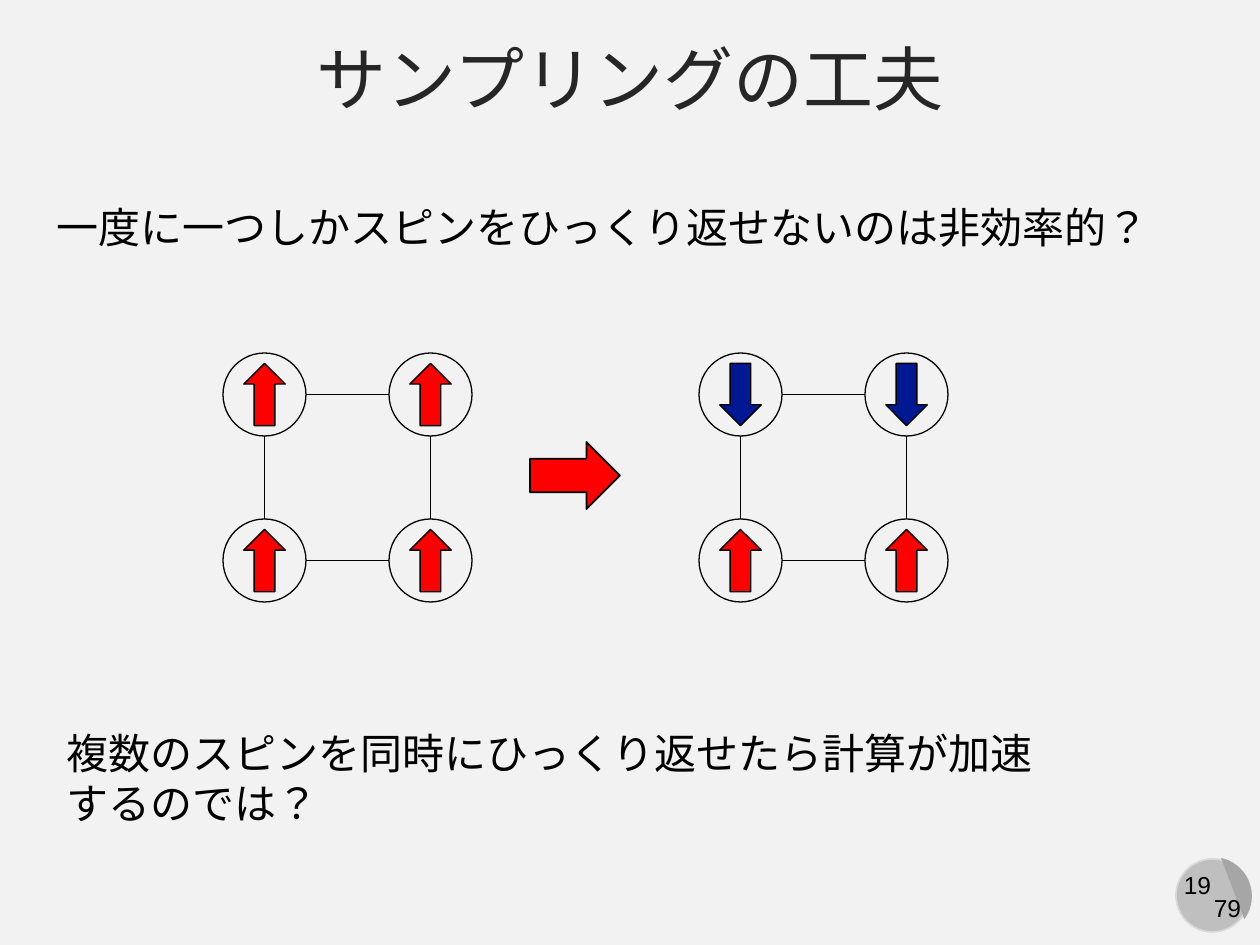
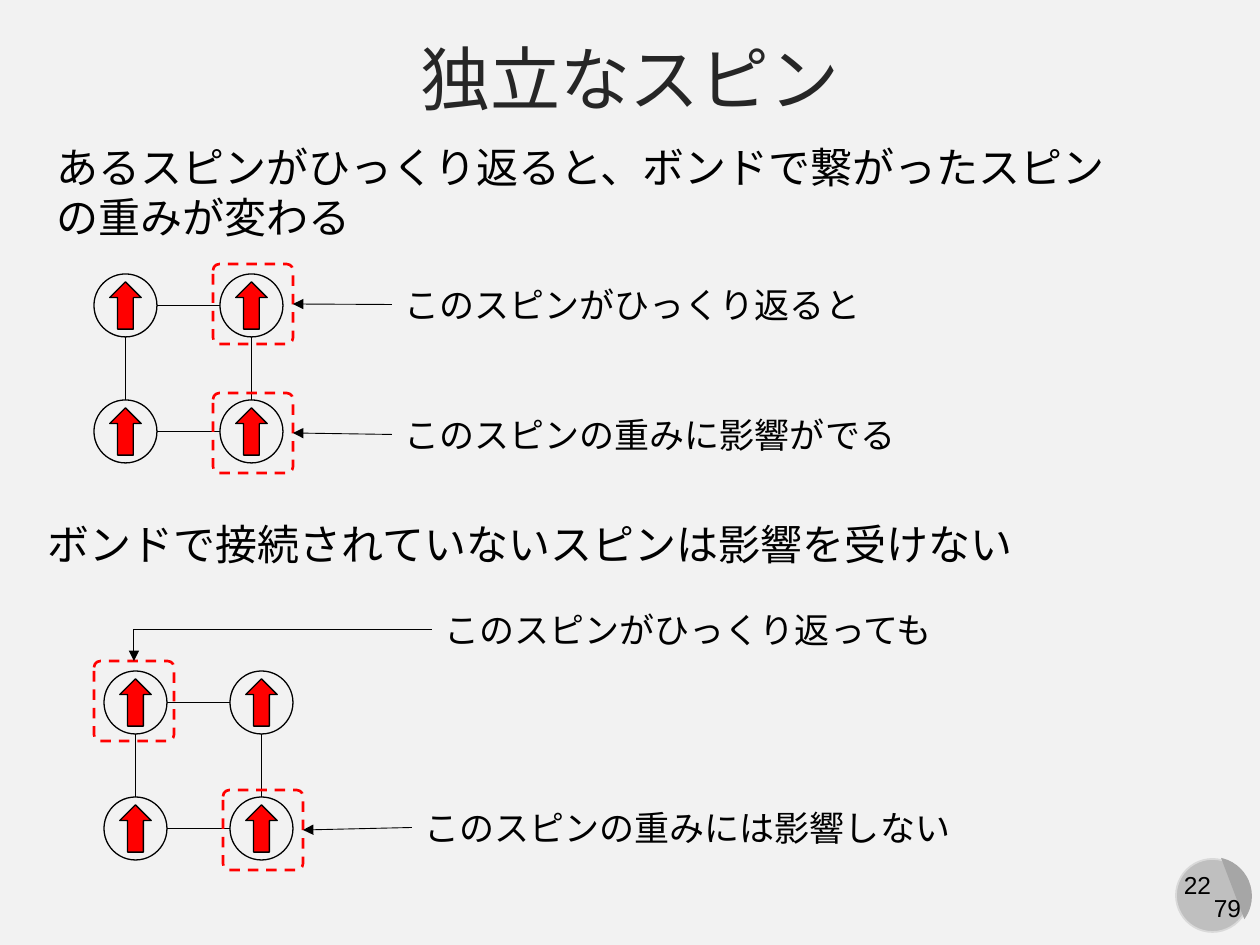
"""Build two slides on flipping several spins at once in a lattice model."""
from lxml.etree import SubElement
from pptx import Presentation
from pptx.dml.color import RGBColor
from pptx.enum.dml import MSO_LINE
from pptx.enum.lang import MSO_LANGUAGE_ID
from pptx.enum.shapes import MSO_CONNECTOR as LINK, MSO_SHAPE as SHAPE
from pptx.enum.text import MSO_ANCHOR, MSO_AUTO_SIZE, PP_ALIGN
from pptx.oxml.ns import qn
from pptx.util import Emu, Pt

FONT = "Arial"
BLACK = RGBColor(0x00, 0x00, 0x00)
TITLE_GRAY = RGBColor(0x26, 0x26, 0x26)
PAPER = RGBColor(0xF2, 0xF2, 0xF2)
BADGE = RGBColor(0xBF, 0xBF, 0xBF)
BADGE_RIM = RGBColor(0xD9, 0xD9, 0xD9)
BADGE_HALF = RGBColor(0xA6, 0xA6, 0xA6)
RED = RGBColor(0xFF, 0x00, 0x00)
NAVY = RGBColor(0x01, 0x18, 0x93)

EMU_PER_PX = 914400 / 126
WIDTH, HEIGHT = 1260, 945
TOTAL_PAGES = "79"
FRAME = 80
LABEL_HEIGHT = 55

SLIDES = [
    {
        "title": "サンプリングの工夫",
        "number": "19",
        "statements": [
            ("一度に一つしかスピンをひっくり返せないのは非効率的？", (44, 195, 1142, 63)),
            ("複数のスピンを同時にひっくり返せたら計算が加速するのでは？", (54, 721, 1022, 115)),
        ],
        "lattices": [(223, 353, 83, ("up", "up")), (699, 353, 83, ("down", "up"))],
        "step": (530, 442, 90, 67),
        "calls": [],
    },
    {
        "title": "独立なスピン",
        "number": "22",
        "statements": [
            ("あるスピンがひっくり返ると、ボンドで繋がったスピンの重みが変わる", (44, 135, 1091, 115)),
            ("ボンドで接続されていないスピンは影響を受けない", (35, 512, 1091, 63)),
        ],
        "lattices": [(94, 274, 63, ("up", "up")), (104, 671, 63, ("up", "up"))],
        "step": None,
        "calls": [
            ("このスピンがひっくり返ると", (392, 277, 485), (213, 264), "side"),
            ("このスピンの重みに影響がでる", (392, 407, 520), (213, 393), "side"),
            ("このスピンがひっくり返っても", (432, 602, 520), (94, 661), "top"),
            ("このスピンの重みには影響しない", (412, 800, 556), (223, 790), "side"),
        ],
    },
]


def px(*lengths):
    return [Emu(round(length * EMU_PER_PX)) for length in lengths]


def write(box, text, size, color=BLACK, align=PP_ALIGN.LEFT, wrap=True):
    frame = box.text_frame
    frame.word_wrap = wrap
    frame.auto_size = MSO_AUTO_SIZE.NONE
    para = frame.paragraphs[0]
    para.alignment = align
    span = para.add_run()
    span.text = text
    span.font.name = FONT
    span.font.size = Pt(size)
    span.font.color.rgb = color
    span.font.language_id = MSO_LANGUAGE_ID.JAPANESE


def add_text(page, text, place, size, **style):
    box = page.shapes.add_textbox(*px(*place))
    write(box, text, size, **style)
    return box


def add_figure(shapes, kind, place, fill=None, line=BLACK, weight=0.75):
    figure = shapes.add_shape(kind, *px(*place))
    figure.shadow.inherit = False
    if fill is None:
        figure.fill.background()
    else:
        figure.fill.solid()
        figure.fill.fore_color.rgb = fill
    if line is None:
        figure.line.fill.background()
    else:
        figure.line.color.rgb = line
        figure.line.width = Pt(weight)
    return figure


def add_link(shapes, kind, ends, weight):
    link = shapes.add_connector(kind, *px(*ends))
    link.line.color.rgb = BLACK
    link.line.width = Pt(weight)
    SubElement(link.element.spPr, qn("a:effectLst"))
    return link


def add_lattice(page, left, top, size, rows):
    """Draw a two by two lattice; spins are one diameter apart."""
    shapes = page.shapes.add_group_shape().shapes
    pitch, half = 2 * size, size / 2
    for row, spin in enumerate(rows):
        for column in range(2):
            x, y = left + column * pitch, top + row * pitch
            add_figure(shapes, SHAPE.OVAL, (x, y, size, size))
            kind, fill = (SHAPE.UP_ARROW, RED) if spin == "up" else (SHAPE.DOWN_ARROW, NAVY)
            add_figure(shapes, kind, (x + size / 4, y + size / 8, half, size * 3 / 4), fill)
    for index in range(2):
        x, y = left + half + index * pitch, top + half + index * pitch
        add_link(shapes, LINK.STRAIGHT, (x, top + size, x, top + pitch), 0.75)
        add_link(shapes, LINK.STRAIGHT, (left + size, y, left + pitch, y), 0.75)


def add_call(page, text, label_place, frame_place, side):
    """Frame a spin with dashes and point to it from its label."""
    left, top, width = label_place
    x, y = frame_place
    frame = add_figure(page.shapes, SHAPE.ROUNDED_RECTANGLE, (x, y, FRAME, FRAME), None, RED, 1.5)
    frame.adjustments[0] = 0.08
    frame.line.dash_style = MSO_LINE.DASH
    label = add_text(page, text, (left, top, width, LABEL_HEIGHT), 20, wrap=False)
    start = (left, top + LABEL_HEIGHT / 2)
    if side == "side":
        link = add_link(page.shapes, LINK.STRAIGHT, (*start, x + FRAME, y + FRAME / 2), 0.5)
    else:
        link = add_link(page.shapes, LINK.ELBOW, (*start, x + FRAME / 2, y), 0.5)
        link.element.spPr.find(qn("a:prstGeom")).set("prst", "bentConnector2")
    link.begin_connect(label, 1)
    link.end_connect(frame, 3 if side == "side" else 0)
    SubElement(link.element.spPr.find(qn("a:ln")), qn("a:tailEnd"), type="triangle")


def add_badge(page, number):
    add_figure(page.shapes, SHAPE.OVAL, (1176, 859, 73, 73), BADGE, BADGE_RIM, 1)
    half = add_figure(page.shapes, SHAPE.CHORD, (1174, 857, 78, 78), BADGE_HALF, None)
    half.adjustments[0] = 27 * 0.6
    half.adjustments[1] = 141.42 * 0.6
    half.rotation = 255
    for text, place in ((number, (1170, 864, 55, 43)), (TOTAL_PAGES, (1201, 887, 53, 43))):
        add_text(page, text, place, 14, align=PP_ALIGN.CENTER, wrap=False)


def add_page(deck, content):
    page = deck.slides.add_slide(deck.slide_layouts[5])
    title = page.shapes.title
    title.left, title.top, title.width, title.height = px(0, 26, WIDTH, 103)
    title.text_frame.vertical_anchor = MSO_ANCHOR.MIDDLE
    write(title, content["title"], 40, TITLE_GRAY, PP_ALIGN.CENTER)
    add_badge(page, content["number"])
    for text, place in content["statements"]:
        add_text(page, text, place, 24)
    for lattice in content["lattices"]:
        add_lattice(page, *lattice)
    if content["step"]:
        add_figure(page.shapes, SHAPE.RIGHT_ARROW, content["step"], RED, weight=1)
    for call in content["calls"]:
        add_call(page, *call)


def main():
    deck = Presentation()
    deck.slide_width, deck.slide_height = px(WIDTH, HEIGHT)
    background = deck.slide_master.background.fill
    background.solid()
    background.fore_color.rgb = PAPER
    for content in SLIDES:
        add_page(deck, content)
    deck.save("out.pptx")


if __name__ == "__main__":
    main()
